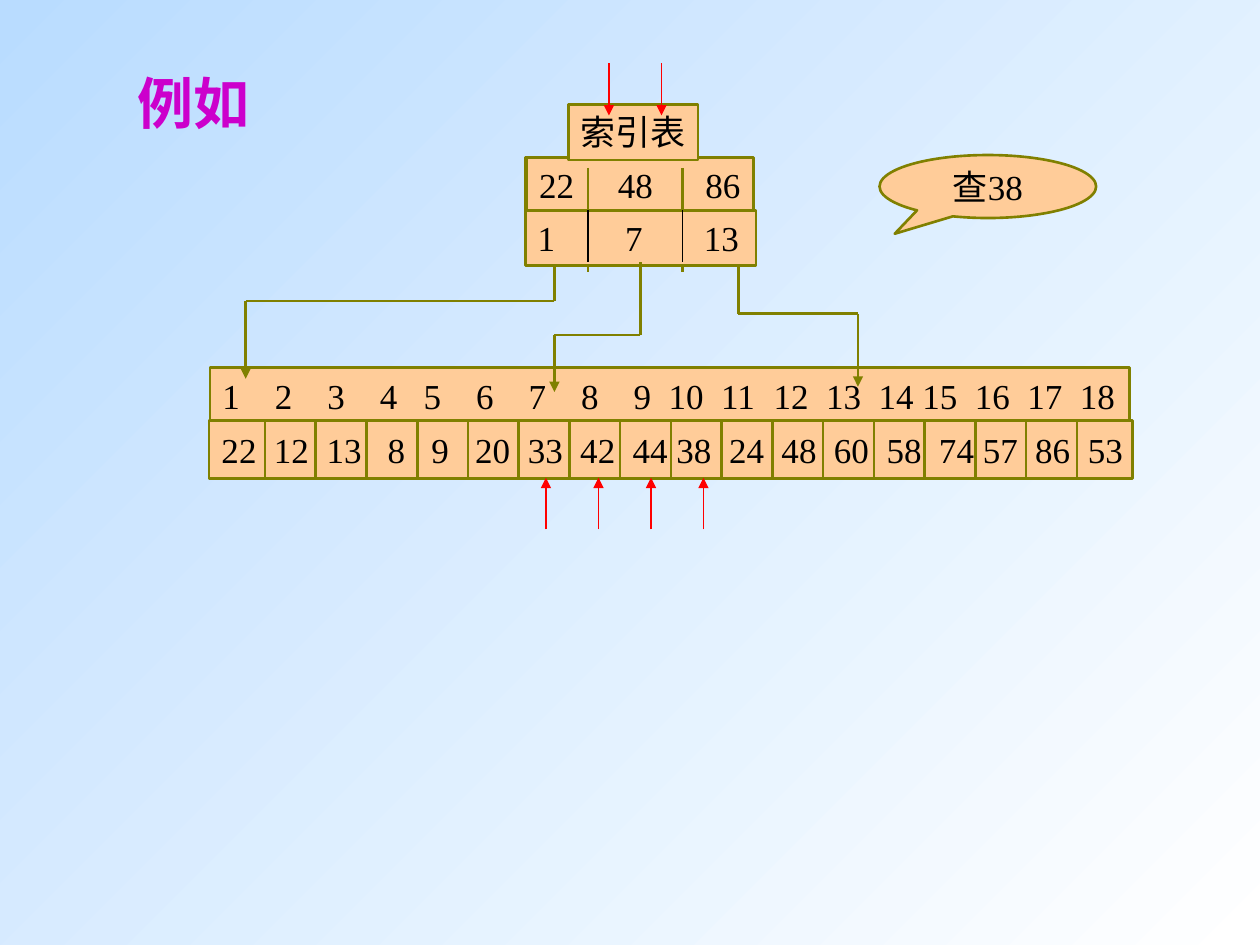
from itertools import accumulate, pairwise

from lxml import etree
from pptx import Presentation
from pptx import util as u
from pptx.dml import color
from pptx.enum import shapes, text
from pptx.oxml import ns

COLORS = {
    "sky": "B9DCFF",
    "white": "FFFFFF",
    "peach": "FFCC99",
    "olive": "808000",
    "red": "FF0000",
    "black": "000000",
    "magenta": "CC00CC",
}
FONT = "Times New Roman"

INDEX_KEYS = [22, 48, 86]
INDEX_STARTS = [1, 7, 13]
RECORDS = [22, 12, 13, 8, 9, 20, 33, 42, 44, 38, 24, 48, 60, 58, 74, 57, 86, 53]

# Distance in points from each number to the next one in its row.
POSITION_STEPS = [30] * 3 + [25] + [30] * 4 + [20] + [30] * 4 + [25] + [30] * 3
RECORD_STEPS = [30, 30, 35, 25, 25, 30, 30, 30, 25] + [30] * 5 + [25, 30, 30]


def rgb(name):
    return color.RGBColor.from_string(COLORS[name])


def paint_background(page):
    fill = page.background.fill
    fill.gradient()
    fill.gradient_angle = 135
    for stop, name in zip(fill.gradient_stops, ("white", "sky")):
        stop.color.rgb = rgb(name)


def write(shape, content, size=20, ink="black", bold=False, wrap=False,
          align=text.PP_ALIGN.LEFT, anchor=text.MSO_ANCHOR.TOP):
    frame = shape.text_frame
    frame.auto_size = text.MSO_AUTO_SIZE.NONE
    frame.word_wrap = wrap
    frame.vertical_anchor = anchor
    para = frame.paragraphs[0]
    para.alignment = align
    span = para.add_run()
    span.text = content
    span.font.name = FONT
    span.font.size = u.Pt(size)
    span.font.bold = bold
    span.font.color.rgb = rgb(ink)
    return para


def add_box(page, left, top, width, height, kind=shapes.MSO_SHAPE.RECTANGLE):
    box = page.shapes.add_shape(
        kind, u.Pt(left), u.Pt(top), u.Pt(width), u.Pt(height))
    box.shadow.inherit = False
    box.fill.solid()
    box.fill.fore_color.rgb = rgb("peach")
    box.line.color.rgb = rgb("olive")
    box.line.width = u.Pt(1.5)
    return box


def set_tab_stops(para, stops):
    tabs = etree.SubElement(para._p.get_or_add_pPr(), ns.qn("a:tabLst"))
    for stop in stops:
        etree.SubElement(tabs, ns.qn("a:tab"), pos=str(u.Pt(stop)), algn="l")


def add_number_row(page, numbers, steps, place, **style):
    """Draw a box whose numbers stand at tab stops spaced by steps."""
    box = add_box(page, *place)
    para = write(box, "\t".join(map(str, numbers)), **style)
    set_tab_stops(para, accumulate(steps))


def add_line(page, start, end, ink="olive", weight=1.5, arrow=False):
    line = page.shapes.add_connector(
        shapes.MSO_CONNECTOR.STRAIGHT, *map(u.Pt, (*start, *end)))
    line.line.color.rgb = rgb(ink)
    line.line.width = u.Pt(weight)
    if arrow:
        etree.SubElement(line.line._get_or_add_ln(), ns.qn("a:tailEnd"),
                         type="triangle")
    etree.SubElement(line._element.spPr, ns.qn("a:effectLst"))


def add_dividers(page, xs, top, bottom, **style):
    for x in xs:
        add_line(page, (x, top), (x, bottom), **style)


def add_route(page, start, turn, end):
    """Go down to the height of turn, across, then down to an arrowhead."""
    points = [start, (start[0], turn), (end[0], turn), end]
    for number, (here, there) in enumerate(pairwise(points), 1):
        add_line(page, here, there, arrow=number == 3)


def add_record_table(page):
    add_number_row(page, range(1, 19), POSITION_STEPS, (120, 210.2, 525.6, 31.7))
    add_number_row(page, RECORDS, RECORD_STEPS, (119.5, 240.5, 527.8, 33),
                   anchor=text.MSO_ANCHOR.MIDDLE)
    add_dividers(page, [151.4 + 29 * i for i in range(17)], 240.5, 273.5)


def add_index_table(page):
    columns = (336, 390)
    add_box(page, 300.2, 90, 129.6, 59.8)
    add_line(page, (300.2, 121), (427, 121))
    add_number_row(page, INDEX_KEYS, (45, 50), (301, 90, 129.6, 31.7))
    add_dividers(page, columns, 96, 155.5)
    add_number_row(page, INDEX_STARTS, (50, 45), (300.2, 120.2, 131.8, 31.7),
                   wrap=True)
    add_dividers(page, columns, 120, 150, ink="black", weight=0.75)


def main():
    deck = Presentation()
    deck.slide_width, deck.slide_height = u.Pt(720), u.Pt(540)
    page = deck.slides.add_slide(deck.slide_layouts[5])
    paint_background(page)

    title = page.shapes.title
    title.left, title.top = u.Pt(71.3), u.Pt(35.3)
    title.width, title.height = u.Pt(78.5), u.Pt(46)
    write(title, "例如", size=32, ink="magenta", bold=True)

    add_record_table(page)
    add_index_table(page)
    add_route(page, (316.8, 151.5), 172, (140.4, 216.5))
    add_route(page, (366, 150), 191.5, (316.8, 224))
    add_route(page, (422, 151.5), 179.3, (490.3, 221))

    label = add_box(page, 324.7, 59.8, 74.2, 31.7)
    write(label, "索引表")

    callout = add_box(page, 502.6, 88.6, 123.8, 36,
                      kind=shapes.MSO_SHAPE.OVAL_CALLOUT)
    callout.adjustments[0] = -0.43
    callout.adjustments[1] = 0.75
    write(callout, "查38", align=text.PP_ALIGN.CENTER,
          anchor=text.MSO_ANCHOR.MIDDLE)

    pointer = {"ink": "red", "weight": 0.75, "arrow": True}
    add_dividers(page, (348, 378), 36, 66, **pointer)
    add_dividers(page, range(312, 403, 30), 302.5, 273, **pointer)

    deck.save("out.pptx")


if __name__ == "__main__":
    main()
